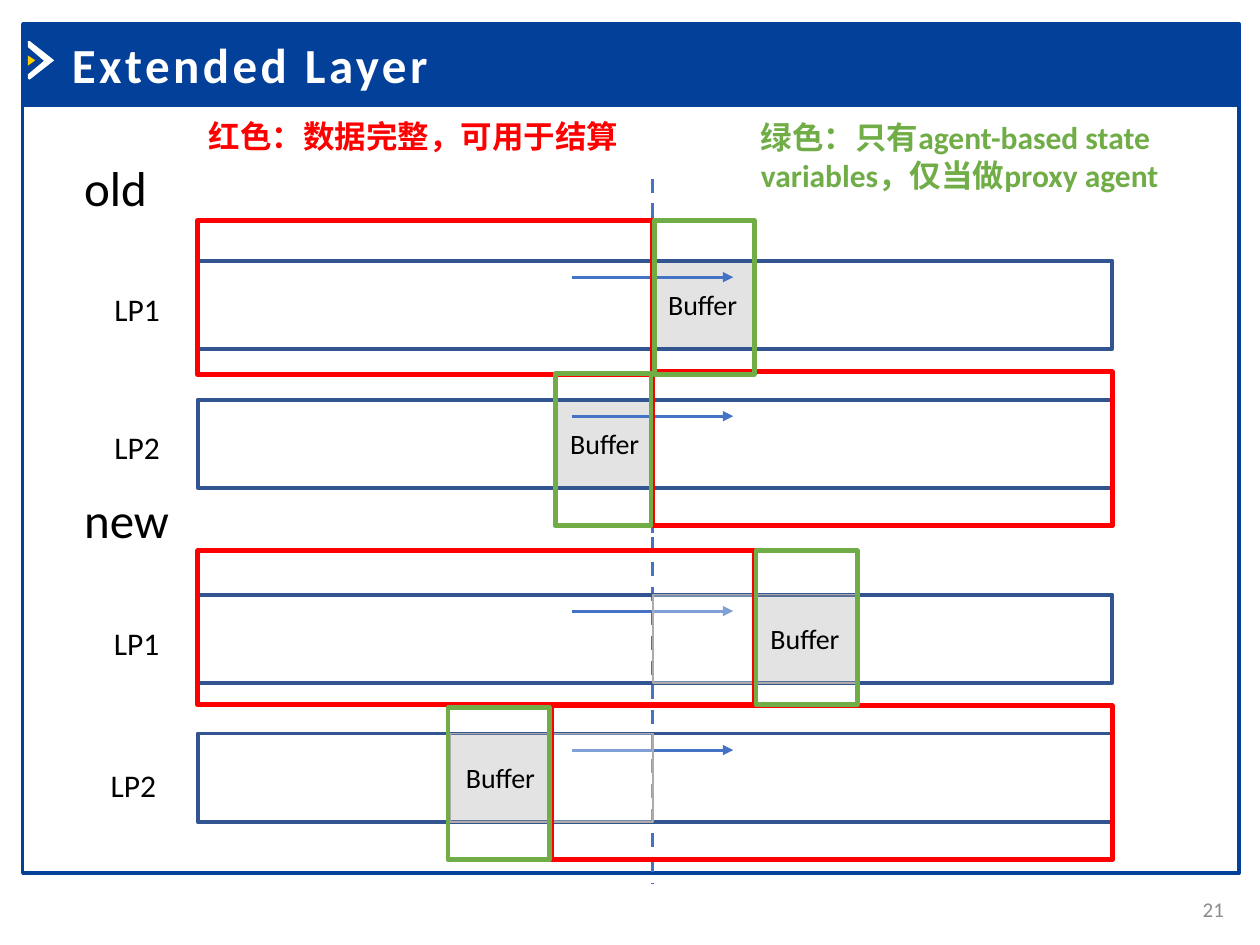
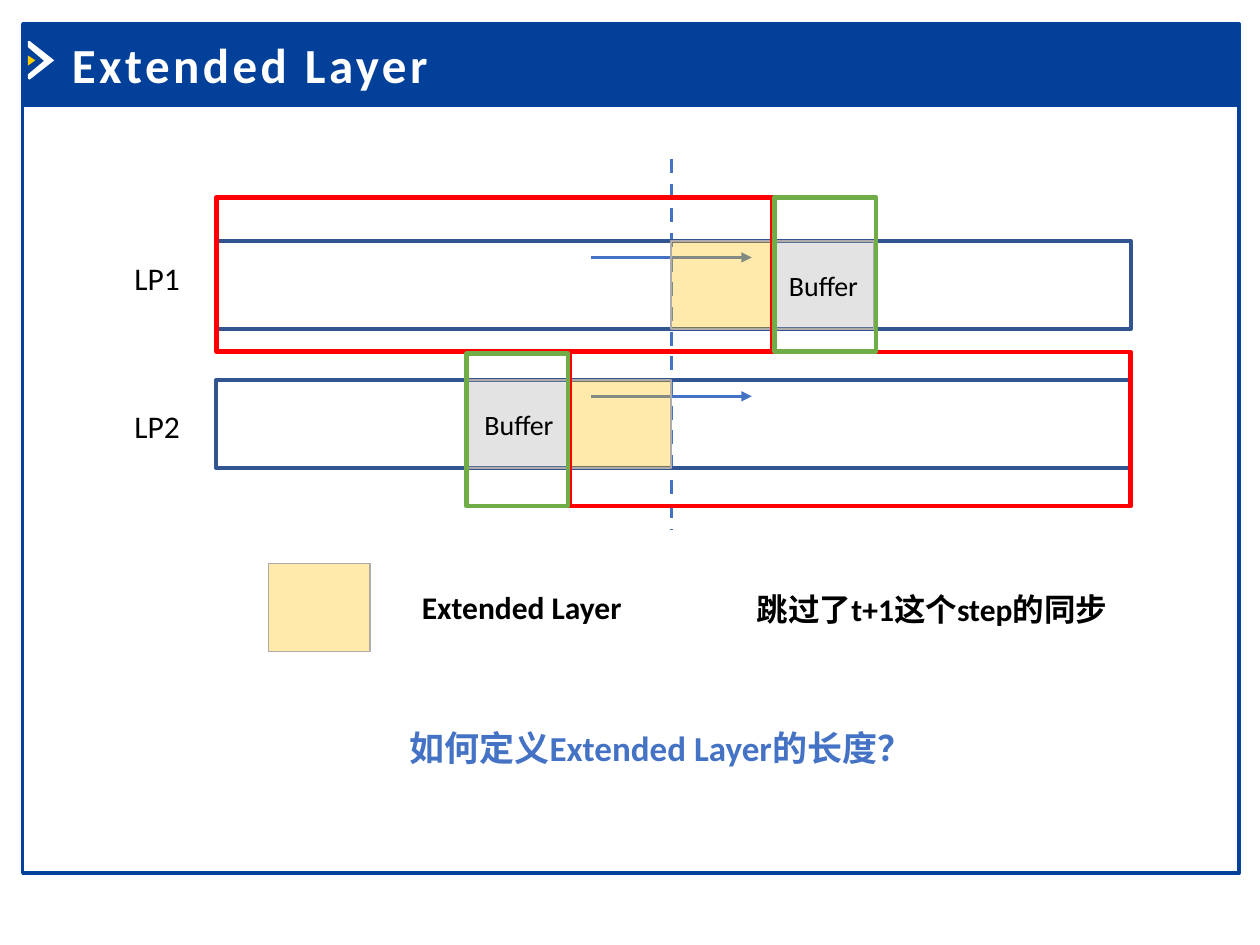
"""Build two slides that explain the extended layer between two logical processes."""
from dataclasses import dataclass

from lxml import etree
from pptx import Presentation
from pptx import util as u
from pptx.dml.color import RGBColor
from pptx.enum import dml, shapes, text
from pptx.oxml import ns


@dataclass(frozen=True)
class Theme:
    font: str = "Calibri"
    navy: str = "02409A"
    white: str = "FFFFFF"
    black: str = "000000"
    marker: str = "FFCC00"
    lane: str = "325491"
    blue: str = "4472C4"
    red: str = "FF0000"
    green: str = "70AD47"
    gray: str = "AFABAB"
    gold: str = "FFC000"
    number: str = "8C8C8C"
    heading: int = 28
    question: int = 20
    body: int = 18
    buffer: int = 16
    small: int = 12


THEME = Theme()
LANE_WIDTH, LANE_HEIGHT, LANE_PITCH = 522.6, 50.4, 79.4
SPLIT = 260
LAYER_WIDTH = 58
RANGE_HEIGHT = 88
CHEVRON = [(16, 23.5), (17, 23.5), (31, 34.5), (17, 45.5), (16, 45),
           (16, 42.5), (25.2, 34.8), (16, 27)]
CHEVRON_DOT = [(16, 31.7), (20.2, 34.5), (16, 37.5)]


def color(value):
    return RGBColor.from_string(value)


def add_effect_list(shape):
    properties = shape._element.spPr
    etree.SubElement(properties, ns.qn("a:effectLst"))


def write(frame, lines, size, ink, bold=False, align=text.PP_ALIGN.LEFT, spacing=0):
    frame.text = lines
    for paragraph in frame.paragraphs:
        paragraph.alignment = align
        for run in paragraph.runs:
            run.font.name = THEME.font
            run.font.size = u.Pt(size)
            run.font.bold = bold
            run.font.color.rgb = color(ink)
            if spacing:
                run._r.get_or_add_rPr().set("spc", str(spacing * 100))


def add_label(slide, left, top, width, height, lines, size=THEME.body, ink=THEME.black,
              wrap=False, **style):
    shape = slide.shapes.add_textbox(u.Pt(left), u.Pt(top), u.Pt(width), u.Pt(height))
    shape.text_frame.word_wrap = wrap
    write(shape.text_frame, lines, size, ink, **style)
    return shape


def add_box(slide, left, top, width, height, line, weight, fill=None, alpha=100):
    shape = slide.shapes.add_shape(shapes.MSO_SHAPE.RECTANGLE, u.Pt(left), u.Pt(top),
                                   u.Pt(width), u.Pt(height))
    shape.shadow.inherit = False
    shape.line.color.rgb = color(line)
    shape.line.width = u.Pt(weight)
    if fill is None:
        shape.fill.background()
        return shape
    shape.fill.solid()
    shape.fill.fore_color.rgb = color(fill)
    if alpha < 100:
        tint = shape._element.spPr.find(ns.qn("a:solidFill"))[0]
        etree.SubElement(tint, ns.qn("a:alpha")).set("val", str(alpha * 1000))
    return shape


def add_layer(slide, left, top, width, fill, caption=""):
    shape = add_box(slide, left, top, width, LANE_HEIGHT, THEME.gray, 1, fill, 33)
    if caption:
        frame = shape.text_frame
        frame.word_wrap = False
        frame.vertical_anchor = text.MSO_ANCHOR.MIDDLE
        write(frame, caption, THEME.buffer, THEME.black, align=text.PP_ALIGN.CENTER)


def add_line(slide, start, end, weight):
    line = slide.shapes.add_connector(shapes.MSO_CONNECTOR.STRAIGHT,
                                      *(u.Pt(value) for value in (*start, *end)))
    line.line.color.rgb = color(THEME.blue)
    line.line.width = u.Pt(weight)
    add_effect_list(line)
    return line


def add_arrow(slide, start, end):
    line = add_line(slide, start, end, 1.75)
    etree.SubElement(line.line._get_or_add_ln(), ns.qn("a:tailEnd")).set("type", "triangle")


def add_polygon(slide, points, fill):
    corners = [(u.Pt(x), u.Pt(y)) for x, y in points]
    builder = slide.shapes.build_freeform(*corners[0])
    builder.add_line_segments(corners[1:], close=True)
    shape = builder.convert_to_shape()
    shape.shadow.inherit = False
    shape.fill.solid()
    shape.fill.fore_color.rgb = color(fill)
    shape.line.fill.background()


def add_titled_slide(presentation, title):
    slide = presentation.slides.add_slide(presentation.slide_layouts[6])
    add_box(slide, 13, 60, 695, 439, THEME.navy, 2)
    add_box(slide, 13, 13.7, 695, 46.3, THEME.navy, 2, THEME.navy)
    add_polygon(slide, CHEVRON, THEME.white)
    add_polygon(slide, CHEVRON_DOT, THEME.marker)
    add_label(slide, 34, 16, 256, 41, title, THEME.heading, THEME.white, wrap=True,
              bold=True, spacing=2)
    return slide


def add_lanes(slide, left, top, split_length):
    split = left + SPLIT
    split_line = add_line(slide, (split, top - 46.8), (split, top - 46.8 + split_length), 2)
    split_line.line.dash_style = dml.MSO_LINE.DASH
    for lane_top in (top, top + LANE_PITCH):
        add_box(slide, left, lane_top, LANE_WIDTH, LANE_HEIGHT, THEME.lane, 2.25)
        add_arrow(slide, (left + 214, lane_top + 9.4), (left + 306, lane_top + 9.4))


def add_buffers(slide, split, top, reach, widths, layer_fill):
    lower = top + LANE_PITCH
    if reach:
        add_layer(slide, split, top, reach, layer_fill)
        add_layer(slide, split - reach, lower, reach, layer_fill)
    add_layer(slide, split + reach, top, widths[0], THEME.gray, "Buffer")
    add_layer(slide, split - reach - widths[1], lower, widths[1], THEME.gray, "Buffer")


def add_ranges(slide, left, top, reach, widths, upper_offset):
    split = left + SPLIT
    upper, lower = top + upper_offset, top + 63.5
    add_box(slide, left, upper, SPLIT + reach, RANGE_HEIGHT, THEME.red, 2.75)
    add_box(slide, split - reach, lower, LANE_WIDTH - SPLIT + reach, RANGE_HEIGHT,
            THEME.red, 2.75)
    add_box(slide, split + reach + 1, upper, widths[0], RANGE_HEIGHT, THEME.green, 2.75)
    add_box(slide, split - reach - 1 - widths[1], lower + 1, widths[1], RANGE_HEIGHT - 1,
            THEME.green, 2.75)


def add_plain_diagram(slide, left, top):
    widths = (57, 54.8)
    add_buffers(slide, left + SPLIT, top, 0, widths, None)
    add_lanes(slide, left, top, 202.3)
    add_ranges(slide, left, top, 0, widths, -23)


def add_extended_diagram(slide, left, top, layer_fill):
    widths = (LAYER_WIDTH, LAYER_WIDTH)
    add_lanes(slide, left, top, 211.5)
    add_buffers(slide, left + SPLIT, top, LAYER_WIDTH, widths, layer_fill)
    add_ranges(slide, left, top, LAYER_WIDTH, widths, -25)


def add_lane_names(slide, *places):
    for number, (left, top) in enumerate(places, start=1):
        add_label(slide, left, top, 41, 29, f"LP{number}")


def build_comparison(presentation):
    slide = add_titled_slide(presentation, "Extended Layer")
    number = add_label(slide, 664, 505, 42.5, 29, "21", THEME.small, THEME.number,
                       wrap=True, align=text.PP_ALIGN.RIGHT)
    number.text_frame.vertical_anchor = text.MSO_ANCHOR.MIDDLE
    add_extended_diagram(slide, 113, 339.8, THEME.white)
    add_plain_diagram(slide, 113, 149)
    add_lane_names(slide, (58.3, 162), (58.3, 241))
    add_lane_names(slide, (58, 353), (56.2, 434))
    add_label(slide, 41, 86.4, 51, 41, "old", THEME.heading)
    add_label(slide, 41, 276, 63, 41, "new", THEME.heading)
    add_label(slide, 112.3, 63.4, 250.6, 29, "红色：数据完整，可用于结算", ink=THEME.red,
              bold=True)
    add_label(slide, 427.7, 64.1, 243.4, 51,
              "绿色：只有agent-based state\nvariables，仅当做proxy agent",
              ink=THEME.green, wrap=True, bold=True)


def build_definition(presentation):
    slide = add_titled_slide(presentation, "Extended Layer")
    add_extended_diagram(slide, 123.6, 137.7, THEME.gold)
    add_lane_names(slide, (69.8, 144.7), (69.8, 229))
    add_layer(slide, 153.4, 322, LAYER_WIDTH, THEME.gold)
    add_label(slide, 234, 332.6, 129.6, 29, "Extended Layer", bold=True)
    add_label(slide, 425.5, 333.4, 216, 29, "跳过了t+1这个step的同步", wrap=True, bold=True)
    add_label(slide, 226.8, 411.8, 306.7, 31.7, "如何定义Extended Layer的长度？",
              THEME.question, THEME.blue, wrap=True, bold=True)


def main():
    presentation = Presentation()
    presentation.slide_width, presentation.slide_height = u.Pt(720), u.Pt(540)
    build_comparison(presentation)
    build_definition(presentation)
    presentation.save("out.pptx")


if __name__ == "__main__":
    main()
